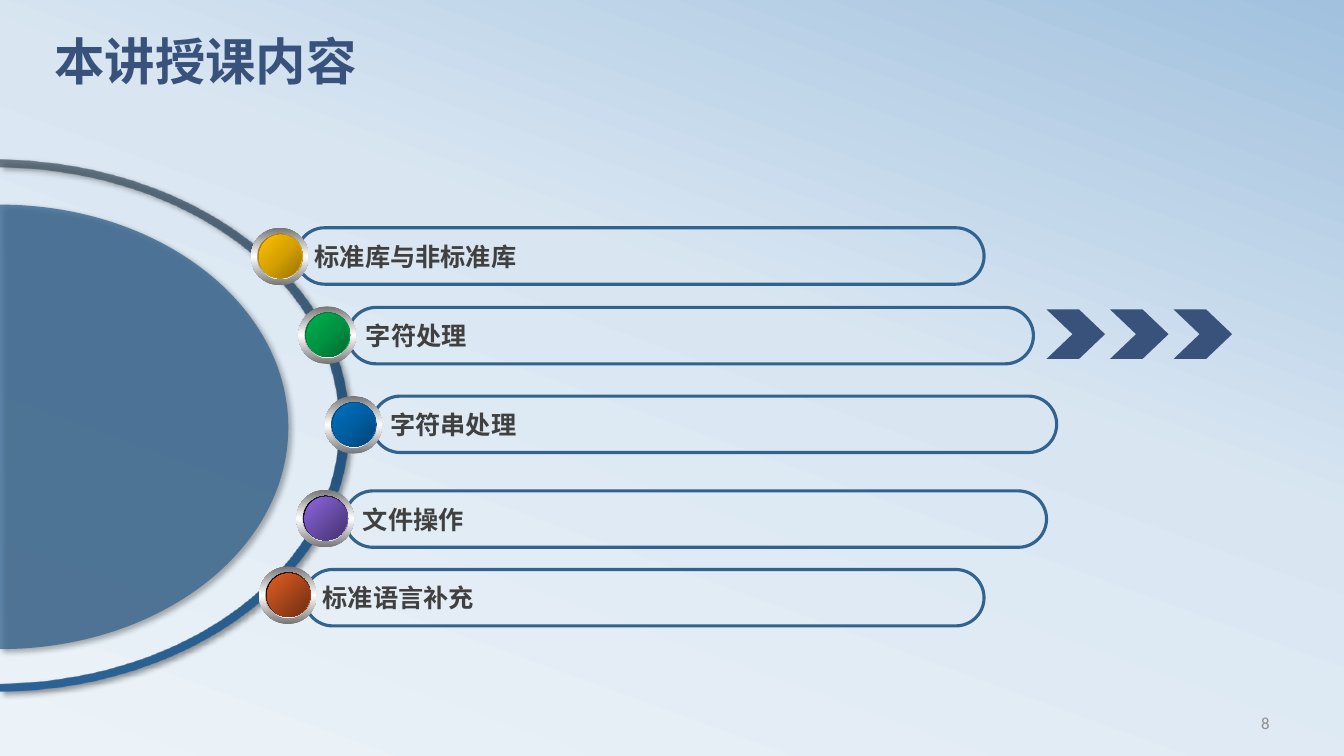
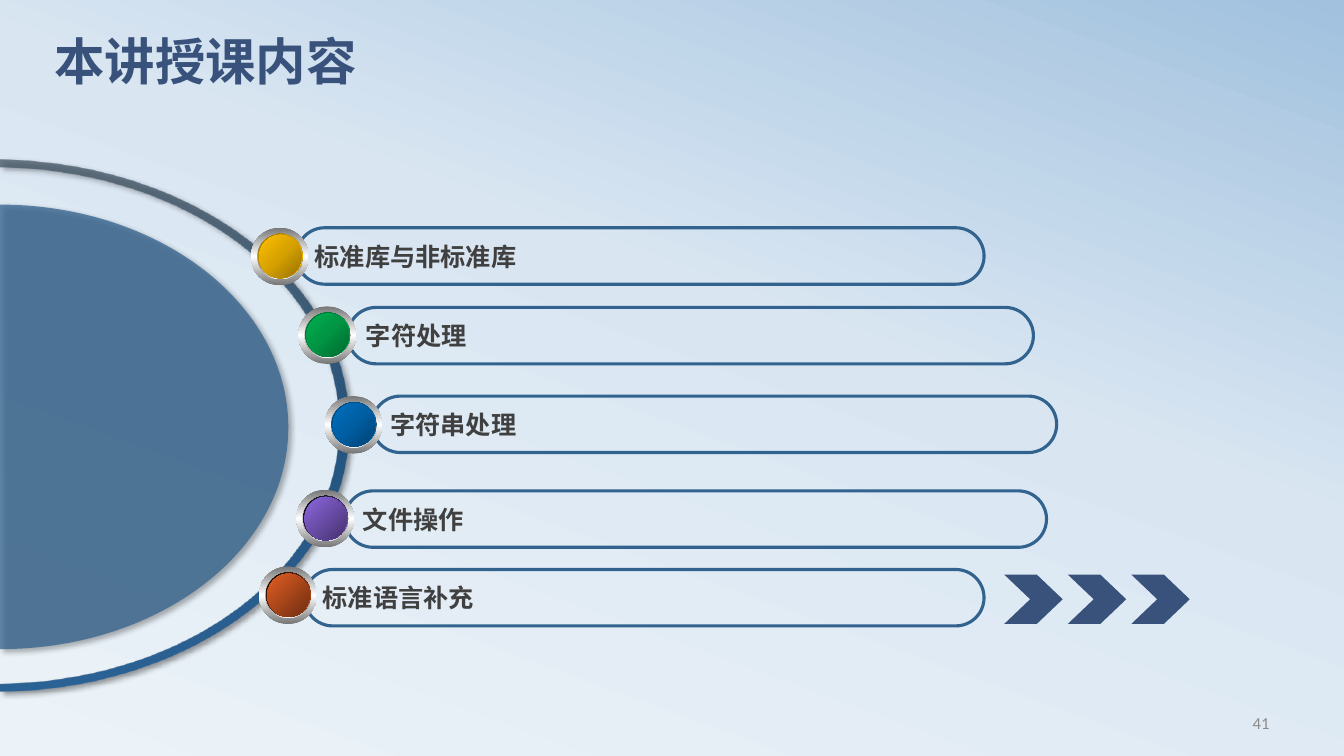
from pptx import Presentation
from lxml.etree import SubElement
from pptx.dml.color import RGBColor
from pptx.enum.shapes import MSO_SHAPE as Preset
from pptx.enum.text import MSO_ANCHOR as Anchor, PP_ALIGN as Align
from pptx.oxml.ns import qn
from pptx.util import Inches, Pt

# Shared look
NAVY, STEEL, DARK, GREY = "39527B", "32628E", "404040", "8C8C8C"
CJK = "Noto Sans CJK SC"
TITLE = {"name": "Calibri", "size": Pt(36), "bold": True}
LABEL = {"name": CJK, "size": Pt(18), "bold": True}
NUMBER = {"name": "Calibri", "size": Pt(12), "bold": False}

BACKDROP = [(0, "ECF3F8"), (58, "D9E6F2"), (100, "A1C1DE")]
RING = [(0, "445462", 75), (50, "24537D"), (100, "2B6295")]
BEZEL = [(0, "767676"), (50, "FFFFFF"), (100, "767676")]
INNER_BEZEL = [(0, "A2A2A2"), (50, "FFFFFF"), (100, "A2A2A2")]
CORNER = "corner"  # round gradient that starts at the lower right

# Dial outlines: a start, then curves (three points) and straight lines (one point)
RING_OUTLINE = [
    [(0, 1.66)],
    [(1.86, 1.68), (3.36, 2.82), (3.36, 4.22)],
    [(3.36, 5.62), (1.86, 6.76), (0, 6.78)],
    [(0, 6.86)],
    [(1.92, 6.84), (3.46, 5.66), (3.46, 4.22)],
    [(3.46, 2.78), (1.92, 1.61), (0, 1.58)],
]
DISC_OUTLINE = [
    [(0, 2.03)],
    [(1.58, 2.03), (2.86, 3.02), (2.86, 4.24)],
    [(2.86, 5.46), (1.58, 6.44), (0, 6.44)],
]

# Topics, back to front: text, bar (left, top, width), bulb (left, top),
# rim, core, core direction
YELLOW = [(0, "977200"), (50, "D7A200"), (100, "FFC000")]
GREEN = [(0, "00682F"), (50, "009443"), (100, "00B050")]
BLUE = [(0, "004272"), (50, "005EA2"), (100, "0070C0")]
PURPLE_RIM, PURPLE = [(0, "000000"), (100, "8D67E1")], [(0, "8D67E1"), (100, "45326D")]
ORANGE_RIM, ORANGE = [(0, "000000"), (100, "E35E23")], [(0, "E35E23"), (100, "6E2E11")]
TOPICS = [
    ("文件操作", (3.42, 4.87, 6.96), (2.94, 4.86), PURPLE_RIM, PURPLE, 45),
    ("字符处理", (3.45, 3.05, 6.8), (2.96, 3.04), GREEN, GREEN, CORNER),
    ("标准库与非标准库", (2.94, 2.26, 6.82), (2.49, 2.26), YELLOW, YELLOW, CORNER),
    ("字符串处理", (3.69, 3.93, 6.79), (3.22, 3.93), BLUE, BLUE, CORNER),
    ("标准语言补充", (3.02, 5.65, 6.74), (2.57, 5.62), ORANGE_RIM, ORANGE, 45),
]

# Slides: page number, left and top of the chevrons
PAGES = [("8", 10.38, 3.07), ("41", 9.96, 5.7)]


def add_colour(parent, colour, alpha=100):
    node = SubElement(parent, qn("a:srgbClr"), val=colour)
    if alpha < 100:
        SubElement(node, qn("a:alpha"), val=str(alpha * 1000))


def paint(fill, props, stops, direction=0):
    """Fill with one (position, colour, alpha) stop, or a gradient of several."""
    fill.solid()
    solid = props.find(qn("a:solidFill"))
    if len(stops) == 1:
        add_colour(solid, *stops[0][1:])
        return
    gradient = solid.makeelement(qn("a:gradFill"), {"rotWithShape": "1"})
    props.replace(solid, gradient)
    stop_list = SubElement(gradient, qn("a:gsLst"))
    for position, *colour in stops:
        add_colour(SubElement(stop_list, qn("a:gs"), pos=str(position * 1000)), *colour)
    if direction == CORNER:
        round_fill = SubElement(gradient, qn("a:path"), {"path": "circle"})
        SubElement(round_fill, qn("a:fillToRect"), l="100000", t="100000")
    else:
        SubElement(gradient, qn("a:lin"), ang=str(direction * 60000), scaled="0")


def finish(shape, stops, direction=0):
    shape.shadow.inherit = False
    shape.line.fill.background()
    paint(shape.fill, shape.element.spPr, stops, direction)


def add_preset(shapes, preset, left, top, width, height, stops, direction=0):
    shape = shapes.add_shape(preset, *map(Inches, (left, top, width, height)))
    finish(shape, stops, direction)
    return shape


def write(frame, text, style, colour, align=Align.LEFT, anchor=Anchor.MIDDLE, wrap=True):
    frame.word_wrap = wrap
    frame.vertical_anchor = anchor
    line = frame.paragraphs[0]
    line.alignment = align
    run = line.add_run()
    run.text = text
    for name, value in style.items():
        setattr(run.font, name, value)
    run.font.color.rgb = RGBColor.from_string(colour)
    SubElement(run.font._element, qn("a:ea"), typeface=CJK)
    return line


def add_text(slide, box, *args, **kwargs):
    frame = slide.shapes.add_textbox(*map(Inches, box)).text_frame
    return write(frame, *args, **kwargs)


def add_outline(slide, segments, stops, direction=0):
    start, *rest = [tuple(map(Inches, point)) for part in segments for point in part]
    builder = slide.shapes.build_freeform(*start)
    builder.add_line_segments(rest, close=True)
    shape = builder.convert_to_shape()
    finish(shape, stops, direction)
    props = shape.element.spPr
    # Join each run of three straight pieces into one curve
    pieces = iter(list(props.iter(qn("a:lnTo"))))
    for segment in segments[1:]:
        first, *others = [next(pieces) for _ in segment]
        if others:
            outline = first.getparent()
            curve = first.makeelement(qn("a:cubicBezTo"), {})
            outline.replace(first, curve)
            for piece in (first, *others):
                curve.append(piece[0])
            for piece in others:
                outline.remove(piece)
    shadow = SubElement(props.find(qn("a:effectLst")), qn("a:outerShdw"),
                        blurRad=str(Pt(4)), dist=str(Pt(3)), dir=str(45 * 60000),
                        algn="tl", rotWithShape="0")
    add_colour(shadow, "000000", 40)


def add_chevrons(slide, left, top):
    group = slide.shapes.add_group_shape()
    for index in range(3):
        chevron = add_preset(group.shapes, Preset.CHEVRON, left + 0.63 * index, top,
                             0.58, 0.49, [(0, NAVY)])
        chevron.adjustments[0] = 0.525


def add_topic(slide, text, bar_place, bulb_place, rim, core, core_direction):
    shapes = slide.shapes.add_group_shape().shapes
    # Bar with its label
    bar = add_preset(shapes, Preset.ROUNDED_RECTANGLE, *bar_place, 0.56, [(0, STEEL)])
    bar.adjustments[0] = 0.5
    bar.fill.background()
    bar.line.color.rgb = RGBColor.from_string(STEEL)
    bar.line.width = Pt(2.25)
    write(bar.text_frame, text, LABEL, DARK, wrap=False)
    # Bulb, from the outer bezel to the core
    left, top = bulb_place
    for dx, dy, width, height, stops, direction in [
        (0, 0, 0.57, 0.57, BEZEL, 90),
        (0.06, 0.06, 0.46, 0.45, INNER_BEZEL, 0),
        (0.07, 0.06, 0.44, 0.44, rim, 45),
        (0.08, 0.07, 0.42, 0.43, core, core_direction),
    ]:
        add_preset(shapes, Preset.OVAL, left + dx, top + dy, width, height, stops, direction)


def add_agenda(deck, number, chevron_left, chevron_top):
    slide = deck.slides.add_slide(deck.slide_layouts[6])
    add_text(slide, (9.58, 6.97, 3.11, 0.4), number, NUMBER, GREY, align=Align.RIGHT)
    title = add_text(slide, (0.44, 0.37, 12, 0.94), "本讲授课内容", TITLE, NAVY,
                     anchor=Anchor.TOP)
    title.line_spacing = 0.8
    # Dial: ring around a disc
    add_outline(slide, RING_OUTLINE, RING, 90)
    add_outline(slide, DISC_OUTLINE, [(0, STEEL, 75)])
    add_chevrons(slide, chevron_left, chevron_top)
    for topic in TOPICS:
        add_topic(slide, *topic)


def main():
    deck = Presentation()
    deck.slide_width, deck.slide_height = Inches(13.33), Inches(7.5)
    master = deck.slide_master
    backdrop = master.background.fill
    paint(backdrop, master.element.find(".//" + qn("p:bgPr")), BACKDROP, 290)
    for page in PAGES:
        add_agenda(deck, *page)
    deck.save("out.pptx")


if __name__ == "__main__":
    main()
